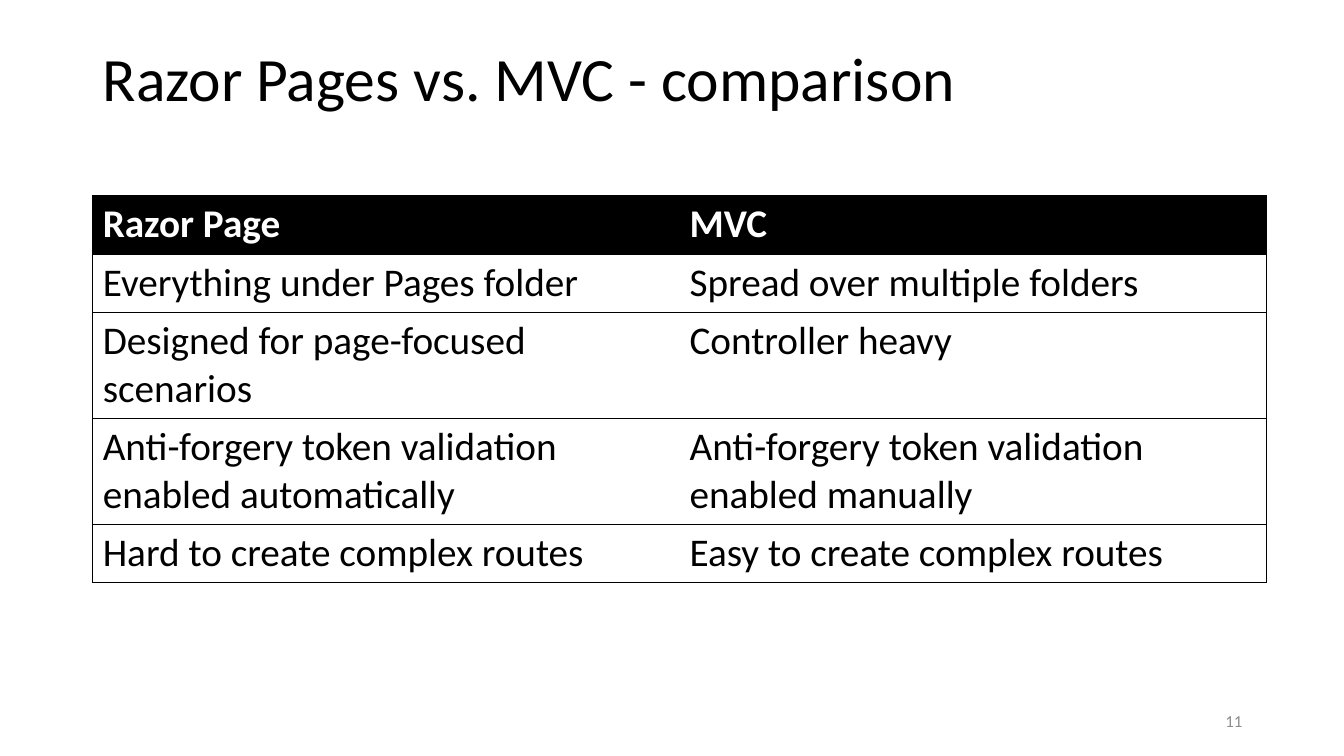
from lxml.etree import SubElement
from pptx import Presentation
from pptx.dml.color import RGBColor
from pptx.enum.text import MSO_ANCHOR as Anchor, PP_ALIGN as Align
from pptx.oxml.ns import qn
from pptx.util import Inches, Pt

FONT = "Calibri"
BLACK, WHITE, GRAY = "000000", "FFFFFF", "8C8C8C"
COMPARISON = [
    ("Razor Page", "MVC"),
    ("Everything under Pages folder", "Spread over multiple folders"),
    ("Designed for page-focused scenarios", "Controller heavy"),
    ("Anti-forgery token validation enabled automatically",
     "Anti-forgery token validation enabled manually"),
    ("Hard to create complex routes", "Easy to create complex routes"),
]
ONE_LINE, TWO_LINES = 0.58, 1.05
ROW_HEIGHTS = [ONE_LINE, ONE_LINE, TWO_LINES, TWO_LINES, ONE_LINE]


def color(hex_value):
    return RGBColor.from_string(hex_value)


def write(frame, text, size, hex_value=BLACK, bold=False, align=Align.LEFT, spacing=1.0):
    paragraph = frame.paragraphs[0]
    paragraph.alignment = align
    paragraph.line_spacing = spacing
    run = paragraph.add_run()
    run.text = text
    run.font.name = FONT
    run.font.size = Pt(size)
    run.font.bold = bold
    run.font.color.rgb = color(hex_value)


def add_text(slide, box, text, **text_format):
    frame = slide.shapes.add_textbox(*map(Inches, box)).text_frame
    frame.word_wrap = True
    frame.vertical_anchor = Anchor.MIDDLE
    write(frame, text, **text_format)


def set_borders(cell, visible_sides):
    """Draw thin black lines on the given sides (of L, R, T, B) and none elsewhere."""
    properties = cell._tc.get_or_add_tcPr()
    for side in "LRTB":
        line = SubElement(properties, qn(f"a:ln{side}"), w=str(Pt(0.5)))
        if side in visible_sides:
            fill = SubElement(line, qn("a:solidFill"))
            SubElement(fill, qn("a:srgbClr"), val=BLACK)
        else:
            SubElement(line, qn("a:noFill"))


def add_comparison_table(slide, box):
    table = slide.shapes.add_table(len(COMPARISON), 2, *map(Inches, box)).table
    for row, height in zip(table.rows, ROW_HEIGHTS):
        row.height = Inches(height)
    for row_index, texts in enumerate(COMPARISON):
        is_header = row_index == 0
        for column_index, text in enumerate(texts):
            cell = table.cell(row_index, column_index)
            set_borders(cell, "TB" + "LR"[column_index])
            cell.fill.solid()
            cell.fill.fore_color.rgb = color(BLACK if is_header else WHITE)
            write(cell.text_frame, text, size=28, bold=is_header,
                  hex_value=WHITE if is_header else BLACK)


def build_comparison_slide(presentation):
    slide = presentation.slides.add_slide(presentation.slide_layouts[6])
    add_text(slide, (0.92, 0.4, 11.5, 0.81), "Razor Pages vs. MVC - comparison",
             size=44, spacing=0.9)
    add_comparison_table(slide, (0.92, 1.94, 11.64, sum(ROW_HEIGHTS)))
    add_text(slide, (9.42, 6.95, 3, 0.4), "11", size=12, hex_value=GRAY, align=Align.RIGHT)


def main():
    presentation = Presentation()
    presentation.slide_width = Inches(13.33)
    presentation.slide_height = Inches(7.5)
    build_comparison_slide(presentation)
    presentation.save("out.pptx")


if __name__ == "__main__":
    main()
